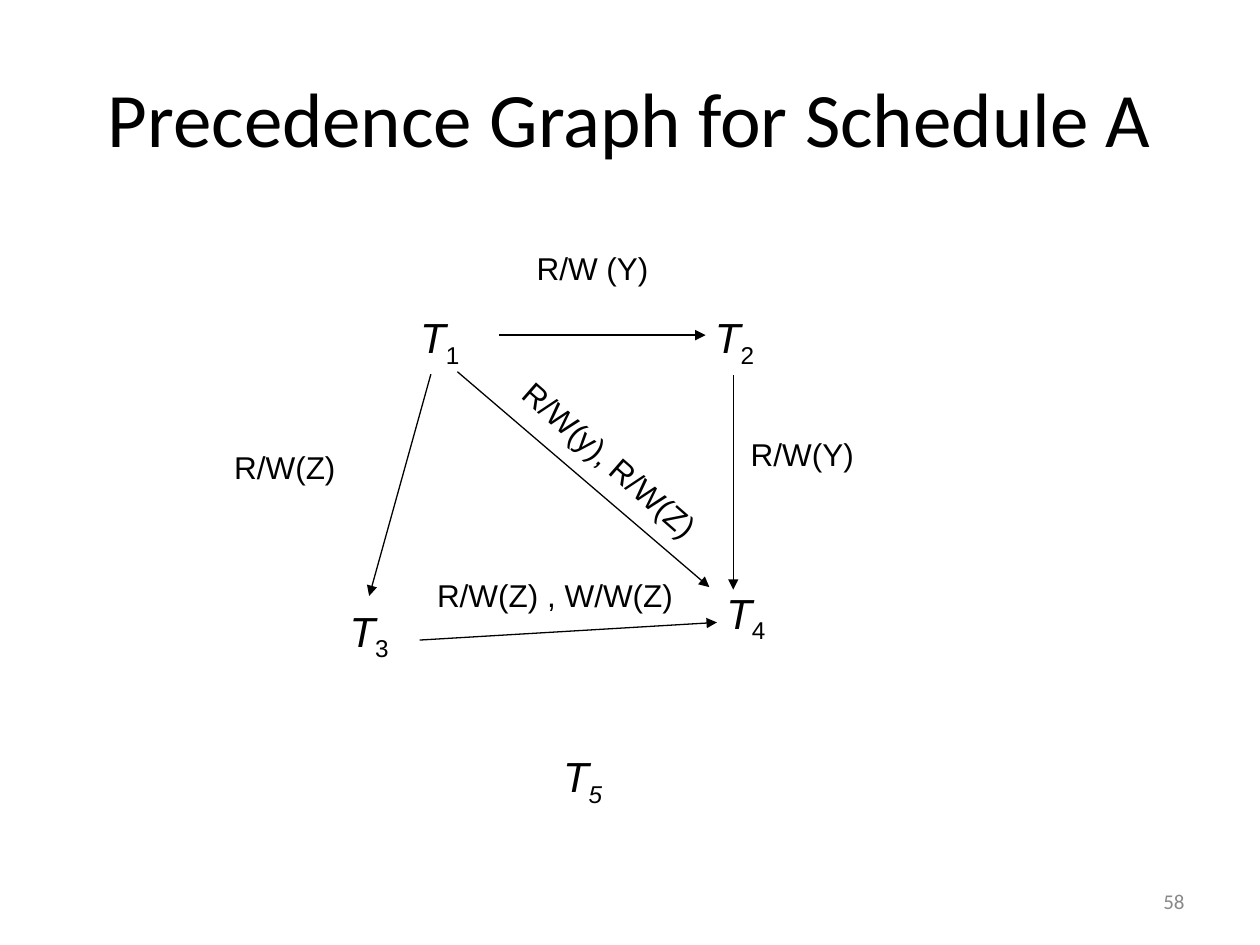
import pptx
import pptx.util
import pptx.dml.color
import pptx.enum.shapes
import pptx.enum.text
import pptx.oxml.ns
import lxml.etree

BLACK = pptx.dml.color.RGBColor(0x00, 0x00, 0x00)
GRAY = pptx.dml.color.RGBColor(0x89, 0x89, 0x89)
ALIGN = pptx.enum.text.PP_ALIGN
ANCHOR = pptx.enum.text.MSO_ANCHOR

deck = pptx.Presentation()
deck.slide_width = pptx.util.Inches(10)
deck.slide_height = pptx.util.Inches(7.5)
COLUMN = deck.slide_width / 100
ROW = deck.slide_height / 75
page = deck.slides.add_slide(deck.slide_layouts[6])


def add_text(text, left, top, width, height, size=18, font="Arial", color=BLACK,
             align=ALIGN.LEFT, anchor=ANCHOR.TOP, wrap=False, rotation=0,
             italic=False, subscript="", subscript_italic=False):
    box = page.shapes.add_textbox(round(left * COLUMN), round(top * ROW),
                                  round(width * COLUMN), round(height * ROW))
    box.rotation = rotation
    frame = box.text_frame
    frame.word_wrap = wrap
    if not wrap:
        frame.auto_size = pptx.enum.text.MSO_AUTO_SIZE.SHAPE_TO_FIT_TEXT
    frame.vertical_anchor = anchor
    para = frame.paragraphs[0]
    para.alignment = align
    for part, slanted, lowered in ((text, italic, False),
                                   (subscript, subscript_italic, True)):
        if not part:
            continue
        span = para.add_run()
        span.text = part
        span.font.name = font
        span.font.size = pptx.util.Pt(size)
        span.font.color.rgb = color
        span.font.italic = slanted
        if lowered:
            span._r.get_or_add_rPr().set("baseline", "-25000")


add_text("Precedence Graph for Schedule A", 5, 3, 90, 12.5, size=44, font="Calibri",
         align=ALIGN.CENTER, anchor=ANCHOR.MIDDLE, wrap=True)

nodes = [("3", 26.3, 47.5), ("4", 56.2, 46.1), ("1", 31.9, 24.2), ("2", 55.3, 24.2)]
for number, left, top in nodes:
    add_text("T", left, top, 6, 5.6, size=24, italic=True, subscript=number,
             align=ALIGN.CENTER, anchor=ANCHOR.MIDDLE, wrap=True)
add_text("T", 43.7, 59.1, 5.1, 5.6, size=24, italic=True, subscript="5",
         subscript_italic=True)

edges = [
    (39.6, 26.6, 56, 26.6),
    (58.2, 29.8, 58.2, 46.8),
    (33.3, 50.8, 56.9, 49.4),
    (34.2, 29.7, 29.3, 47.3),
    (36.3, 29.5, 56.3, 46.6),
]
for start_x, start_y, end_x, end_y in edges:
    arrow = page.shapes.add_connector(
        pptx.enum.shapes.MSO_CONNECTOR.STRAIGHT,
        round(start_x * COLUMN), round(start_y * ROW),
        round(end_x * COLUMN), round(end_y * ROW))
    arrow.line.color.rgb = BLACK
    arrow.line.width = pptx.util.Pt(0.75)
    lxml.etree.SubElement(arrow.line._get_or_add_ln(),
                          pptx.oxml.ns.qn("a:tailEnd"), type="triangle")
    lxml.etree.SubElement(arrow._element.spPr, pptx.oxml.ns.qn("a:effectLst"))

edge_labels = [
    ("R/W (Y)", 41.6, 19.3, 10.9, 0),
    ("R/W(Y)", 58.6, 34, 10.2, 0),
    ("R/W(Z)", 17.6, 35.1, 10.2, 0),
    ("R/W(Z) , W/W(Z)", 33.7, 45.2, 20.9, 0),
    ("R/W(y), R/W(Z)", 38.8, 34.5, 19.2, 41.2),
]
for label, left, top, width, rotation in edge_labels:
    add_text(label, left, top, width, 4, rotation=rotation)

add_text("58", 71.7, 69.5, 23.3, 4, size=12, font="Calibri", color=GRAY,
         align=ALIGN.RIGHT, anchor=ANCHOR.MIDDLE, wrap=True)

deck.save("out.pptx")
